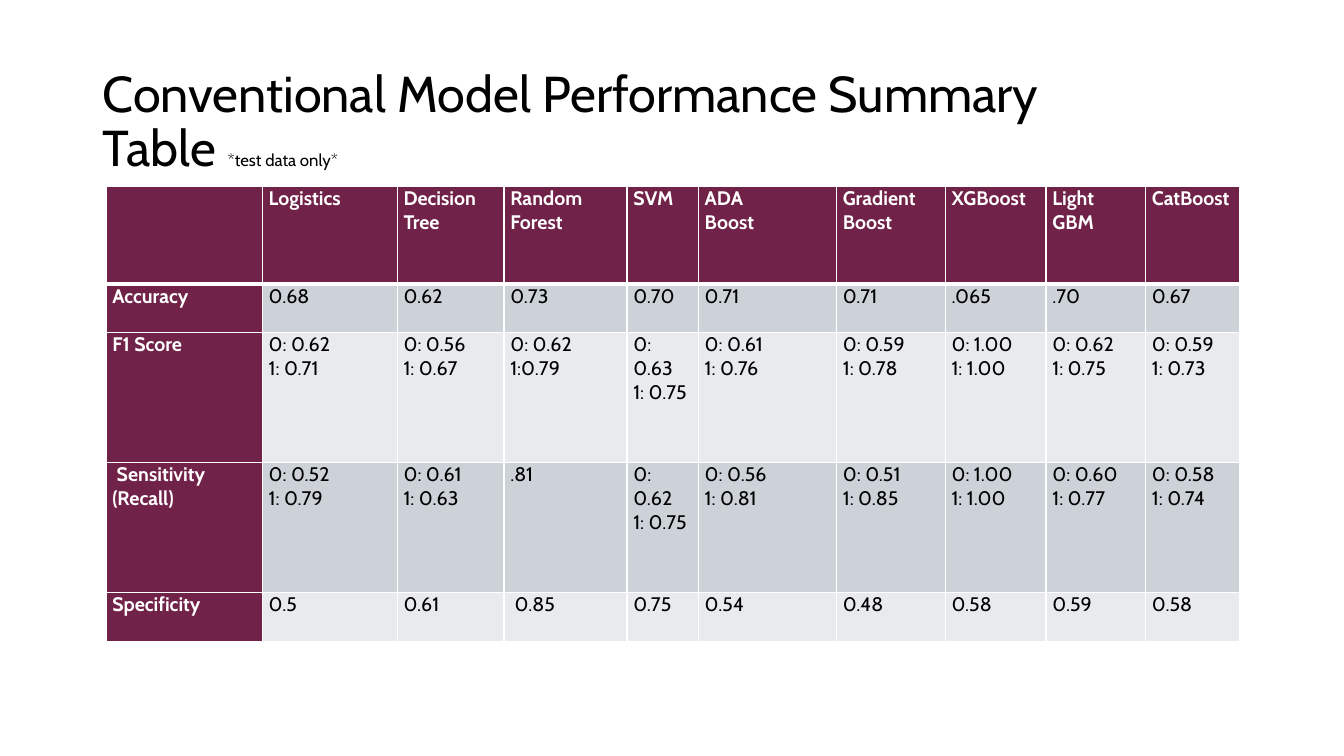
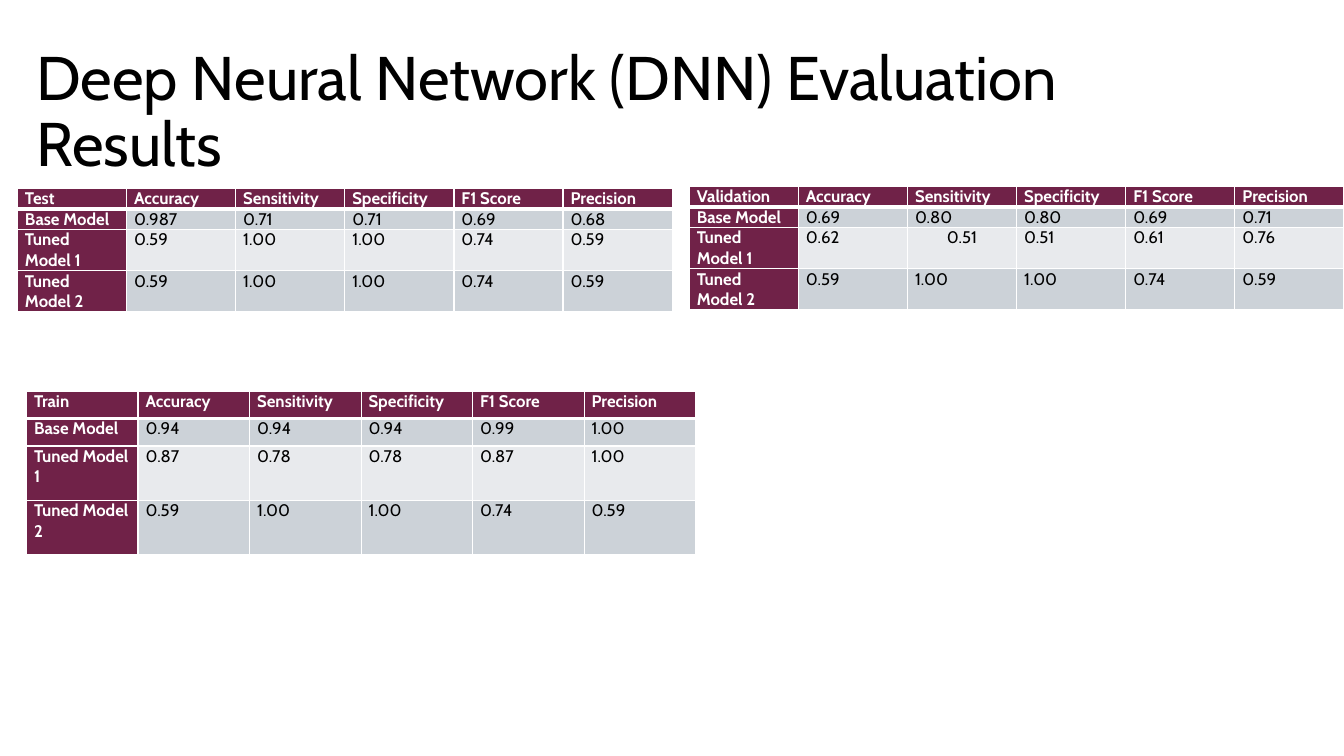
"""Build two slides of model performance tables."""
from dataclasses import dataclass

from lxml.etree import SubElement
from pptx import Presentation
from pptx.dml.color import RGBColor
from pptx.enum.text import MSO_ANCHOR, MSO_AUTO_SIZE, PP_ALIGN
from pptx.oxml.ns import qn
from pptx.presentation import Presentation as Deck
from pptx.slide import Slide
from pptx.table import _Cell
from pptx.text.text import _Paragraph
from pptx.util import Cm, Pt

FONT = "Cabin"
COLORS = {
    "header": "702248",
    "band_dark": "CCD2D8",
    "band_light": "E8EAED",
    "text": "000000",
    "white": "FFFFFF",
}
METRICS = ["Accuracy", "Sensitivity", "Specificity", "F1 Score", "Precision"]
MODELS = ["Base Model", "Tuned Model 1", "Tuned Model 2"]


@dataclass(frozen=True)
class Box:
    left: float
    top: float
    width: float
    height: float


@dataclass(frozen=True)
class Grid:
    left: float
    top: float
    cols: list[float]
    rows: list[float]
    cells: list[list[str]]
    size: float
    inset: float
    centered: tuple[tuple[int, int], ...] = ()


def add_run(p: _Paragraph, text: str, *, size: float,
            color: str = "text", bold: bool = False) -> None:
    r = p.add_run()
    r.text = text
    r.font.name = FONT
    r.font.size = Pt(size)
    r.font.bold = bold
    r.font.color.rgb = RGBColor.from_string(COLORS[color])


def add_titled_slide(prs: Deck, box: Box, text: str, size: float, note: str = "") -> Slide:
    s = prs.slides.add_slide(prs.slide_layouts[5])
    sp = s.shapes.title
    sp.left, sp.top = Cm(box.left), Cm(box.top)
    sp.width, sp.height = Cm(box.width), Cm(box.height)
    tf = sp.text_frame
    tf.word_wrap = True
    tf.auto_size = MSO_AUTO_SIZE.NONE
    tf.vertical_anchor = MSO_ANCHOR.MIDDLE
    p = tf.paragraphs[0]
    p.alignment = PP_ALIGN.LEFT
    p.line_spacing = 0.9
    add_run(p, text, size=size)
    if note:
        add_run(p, note, size=12)
    return s


def set_borders(cell: _Cell, top: float, bottom: float) -> None:
    tc_pr = cell._tc.get_or_add_tcPr()
    for side, width in (("L", 1), ("R", 1), ("T", top), ("B", bottom)):
        ln = SubElement(tc_pr, qn(f"a:ln{side}"), w=str(Pt(width)))
        fill = SubElement(ln, qn("a:solidFill"))
        SubElement(fill, qn("a:srgbClr"), val=COLORS["white"])


def fill_cell(cell: _Cell, grid: Grid, row: int, col: int) -> None:
    heading = row == 0 or col == 0
    band = "header" if heading else "band_dark" if row % 2 else "band_light"
    set_borders(cell, top=3 if row == 1 else 1, bottom=3 if row == 0 else 1)
    cell.fill.solid()
    cell.fill.fore_color.rgb = RGBColor.from_string(COLORS[band])
    cell.margin_left = cell.margin_right = Cm(grid.inset)
    cell.margin_top = cell.margin_bottom = 0
    tf = cell.text_frame
    for i, line in enumerate(filter(None, grid.cells[row][col].split("\n"))):
        p = tf.add_paragraph() if i else tf.paragraphs[0]
        p.alignment = PP_ALIGN.CENTER if (row, col) in grid.centered else PP_ALIGN.LEFT
        add_run(p, line, size=grid.size, color="white" if heading else "text", bold=heading)


def add_grid(s: Slide, grid: Grid) -> None:
    table = s.shapes.add_table(
        len(grid.rows), len(grid.cols), Cm(grid.left), Cm(grid.top),
        Cm(sum(grid.cols)), Cm(sum(grid.rows))).table
    for column, width in zip(table.columns, grid.cols):
        column.width = Cm(width)
    for i, height in enumerate(grid.rows):
        table.rows[i].height = Cm(height)
        for j in range(len(grid.cols)):
            fill_cell(table.cell(i, j), grid, i, j)


def dnn_grid(name: str, left: float, top: float, col: float, rows: list[float],
             values: list[str], centered: tuple[tuple[int, int], ...] = ()) -> Grid:
    cells = [[name, *METRICS]]
    cells += [[model, *line.split()] for model, line in zip(MODELS, values)]
    return Grid(left, top, [col] * len(cells[0]), rows, cells, 12, 0.19, centered)


def by_class(*pairs: tuple[str, str]) -> list[str]:
    return [f"0: {zero}\n1: {one}" for zero, one in pairs]


def main() -> None:
    prs = Presentation()
    prs.slide_width, prs.slide_height = Cm(33.87), Cm(19.05)

    s = add_titled_slide(prs, Box(2.34, 1.52, 24.74, 3.18),
                         "Conventional Model Performance Summary Table ", 36,
                         "*test data only*")
    f1 = by_class(("0.62", "0.71"), ("0.56", "0.67"), ("0.62", "0.79"),
                  ("0.63", "0.75"), ("0.61", "0.76"), ("0.59", "0.78"),
                  ("1.00", "1.00"), ("0.62", "0.75"), ("0.59", "0.73"))
    f1[2] = "0: 0.62\n1:0.79"
    recall = by_class(("0.52", "0.79"), ("0.61", "0.63"))
    recall += [".81"]
    recall += by_class(("0.62", "0.75"), ("0.56", "0.81"), ("0.51", "0.85"),
                       ("1.00", "1.00"), ("0.60", "0.77"), ("0.58", "0.74"))
    add_grid(s, Grid(
        2.67, 4.7,
        [3.94, 3.4, 2.69, 3.1, 1.8, 3.48, 2.74, 2.54, 2.51, 2.36],
        [2.46, 1.22, 3.28, 3.28, 1.22],
        [
            ["", "Logistics", "Decision Tree", "Random Forest", "SVM", "ADA\nBoost",
             "Gradient Boost", "XGBoost", "Light GBM", "CatBoost"],
            ["Accuracy", "0.68", "0.62", "0.73", "0.70", "0.71", "0.71", ".065", ".70", "0.67"],
            ["F1 Score", *f1],
            [" Sensitivity (Recall)", *recall],
            ["Specificity", "0.5", "0.61", " 0.85", "0.75", "0.54", "0.48", "0.58", "0.59",
             "0.58"],
        ],
        14, 0.16))

    s = add_titled_slide(prs, Box(0.66, 1.02, 29.21, 3.68),
                         "Deep Neural Network (DNN) Evaluation Results", 44)
    tight, roomy = [0.5, 0.5, 1.03, 1.03], [0.69, 0.69, 1.37, 1.37]
    tuned = "0.59 1.00 1.00 0.74 0.59"
    for grid in (
        dnn_grid("Test", 0.44, 4.75, 2.75, tight,
                 ["0.987 0.71 0.71 0.69 0.68", tuned, tuned]),
        dnn_grid("Train", 0.67, 9.86, 2.81, roomy,
                 ["0.94 0.94 0.94 0.99 1.00", "0.87 0.78 0.78 0.87 1.00", tuned]),
        dnn_grid("Validation", 17.37, 4.7, 2.75, tight,
                 ["0.69 0.80 0.80 0.69 0.71", "0.62 0.51 0.51 0.61 0.76", tuned],
                 centered=((2, 2),)),
    ):
        add_grid(s, grid)

    prs.save("out.pptx")


if __name__ == "__main__":
    main()
